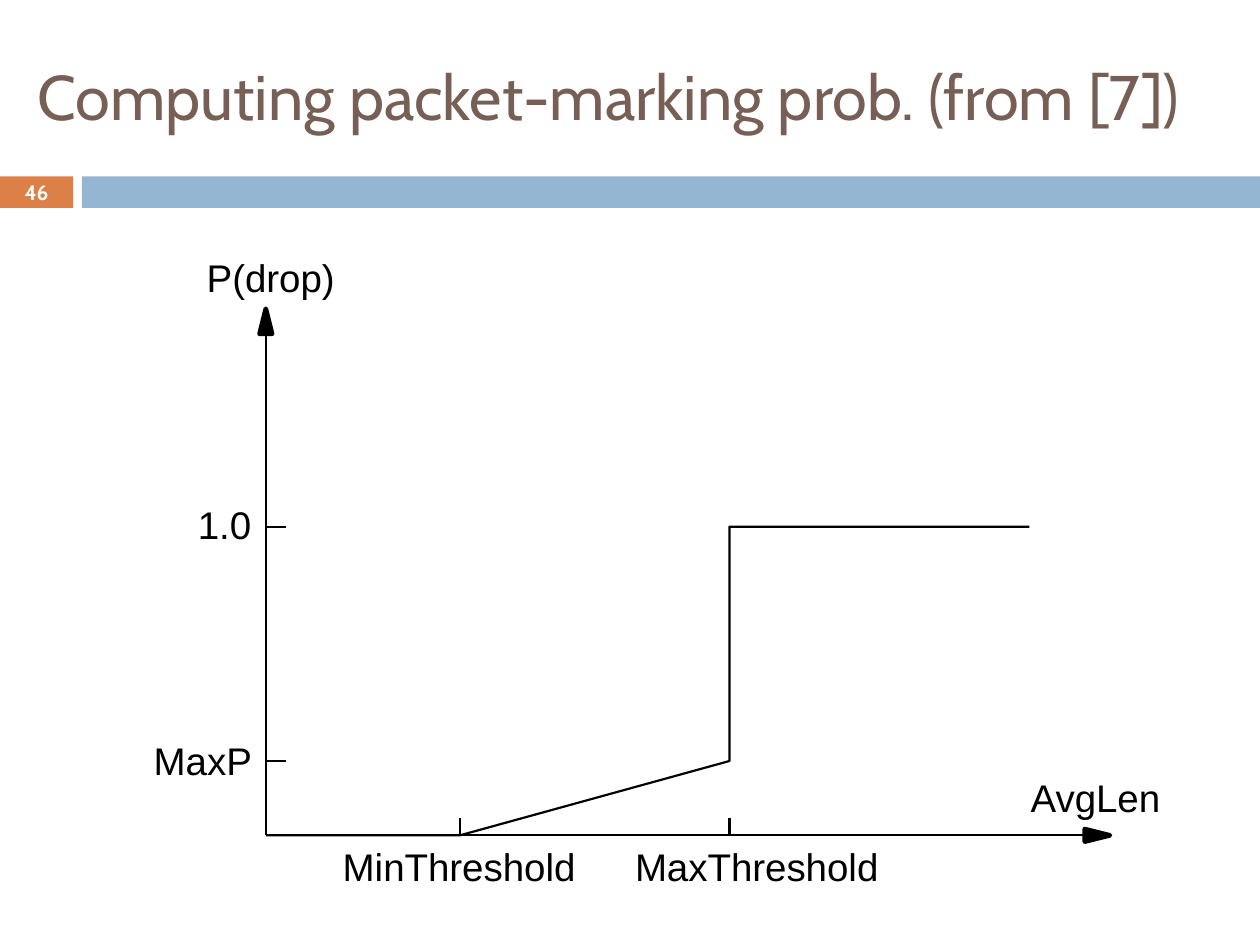
from dataclasses import dataclass

from pptx import Presentation
from pptx.dml.color import RGBColor
from pptx.enum.shapes import MSO_CONNECTOR as Connector, MSO_SHAPE as Shape
from pptx.enum.text import MSO_ANCHOR as Anchor, MSO_AUTO_SIZE as AutoSize, PP_ALIGN as Align
from pptx.oxml.ns import qn
from pptx.util import Inches, Pt


@dataclass(frozen=True)
class Theme:
    """Colours, fonts, type sizes and line widths."""
    title: str = "775F55"
    accent: str = "DD8047"
    band: str = "94B6D2"
    ink: str = "000000"
    paper: str = "FFFFFF"
    heading_font: str = "Cabin"
    label_font: str = "Arial"
    title_size: float = 36
    number_size: float = 12
    label_size: float = 22
    line_width: float = 1.25
    arrow_width: float = 2.63


class SlideBuilder:
    """Draws styled elements on the current slide."""

    def __init__(self, slide, theme):
        self.slide = slide
        self.shapes = slide.shapes
        self.theme = theme

    def style(self, paragraph, font, size, color, bold=False):
        """Format every run of a paragraph."""
        for run in paragraph.runs:
            run.font.name = font
            run.font.size = Pt(size)
            run.font.bold = bold
            run.font.color.rgb = RGBColor.from_string(color)

    def title(self, text, left, top, width, height):
        """Fill and place the title placeholder."""
        shape = self.shapes.title
        shape.left, shape.top = Inches(left), Inches(top)
        shape.width, shape.height = Inches(width), Inches(height)
        frame = shape.text_frame
        frame.text = text
        frame.vertical_anchor = Anchor.MIDDLE
        frame.auto_size = AutoSize.NONE
        frame.paragraphs[0].alignment = Align.LEFT
        self.style(frame.paragraphs[0], self.theme.heading_font,
                   self.theme.title_size, self.theme.title)

    def bar(self, left, top, width, height, color, text=""):
        """Add a plain rectangle, with centred text if given."""
        shape = self.shapes.add_shape(Shape.RECTANGLE, Inches(left), Inches(top),
                                      Inches(width), Inches(height))
        shape.shadow.inherit = False
        shape.fill.solid()
        shape.fill.fore_color.rgb = RGBColor.from_string(color)
        shape.line.fill.background()
        if text:
            frame = shape.text_frame
            frame.margin_top = frame.margin_bottom = 0
            frame.text = text
            frame.vertical_anchor = Anchor.MIDDLE
            frame.paragraphs[0].alignment = Align.CENTER
            self.style(frame.paragraphs[0], self.theme.heading_font,
                       self.theme.number_size, self.theme.paper, bold=True)

    def label(self, text, left, top, width, height=0.37):
        """Add a one-line label without margins."""
        box = self.shapes.add_textbox(Inches(left), Inches(top), Inches(width), Inches(height))
        frame = box.text_frame
        frame.margin_left = frame.margin_right = frame.margin_top = frame.margin_bottom = 0
        frame.word_wrap = False
        frame.auto_size = AutoSize.SHAPE_TO_FIT_TEXT
        frame.text = text
        self.style(frame.paragraphs[0], self.theme.label_font,
                   self.theme.label_size, self.theme.ink)

    def line(self, start, end):
        """Add a straight line between two points."""
        connector = self.shapes.add_connector(
            Connector.STRAIGHT, *(Inches(value) for value in (*start, *end)))
        connector.line.width = Pt(self.theme.line_width)
        connector.line.color.rgb = RGBColor.from_string(self.theme.ink)
        properties = connector._element.spPr
        properties.append(properties.makeelement(qn("a:effectLst"), {}))

    def outline(self, points, width, filled=False):
        """Add an open line through points, or a closed filled outline."""
        first, *rest = [(Inches(x), Inches(y)) for x, y in points]
        builder = self.shapes.build_freeform(*first)
        builder.add_line_segments(rest, close=filled)
        shape = builder.convert_to_shape()
        shape.shadow.inherit = False
        if filled:
            shape.fill.solid()
            shape.fill.fore_color.rgb = RGBColor.from_string(self.theme.ink)
        else:
            shape.fill.background()
        shape.line.width = Pt(width)
        shape.line.color.rgb = RGBColor.from_string(self.theme.ink)


def main():
    """Build the slide and save it."""
    presentation = Presentation()
    presentation.slide_width, presentation.slide_height = Inches(10), Inches(7.5)
    theme = Theme()
    builder = SlideBuilder(presentation.slides.add_slide(presentation.slide_layouts[5]), theme)

    builder.bar(0, 1.4, 0.58, 0.25, theme.accent, "46")
    builder.bar(0.65, 1.4, 9.35, 0.25, theme.band)
    builder.title("Computing packet-marking prob. (from [7])", 0.2, 0.42, 9.75, 0.67)

    origin_x, axis_y = 2.11, 6.63
    min_x, max_x, curve_end = 3.65, 5.79, 8.17
    one_y, max_p_y = 4.18, 6.04
    axis_top, axis_right = 2.45, 8.81
    head_length, head_half, tick_x, tick_y = 0.2, 0.05, 0.16, 0.14

    builder.outline([(origin_x, axis_y), (min_x, axis_y), (max_x, max_p_y),
                     (max_x, one_y), (curve_end, one_y)], theme.line_width)
    builder.line((origin_x, axis_y), (origin_x, axis_top + head_length))
    builder.line((origin_x, axis_y), (axis_right - head_length, axis_y))
    base_y, base_x = axis_top + head_length, axis_right - head_length
    builder.outline([(origin_x + head_half, base_y), (origin_x, axis_top),
                     (origin_x - head_half, base_y)], theme.arrow_width, filled=True)
    builder.outline([(base_x, axis_y + head_half), (axis_right, axis_y),
                     (base_x, axis_y - head_half)], theme.arrow_width, filled=True)

    for x in (min_x, max_x):
        builder.line((x, axis_y), (x, axis_y - tick_y))
    for y in (one_y, max_p_y):
        builder.line((origin_x, y), (origin_x + tick_x, y))

    for text, left, top, width in (
        ("P(drop)", 1.64, 2.02, 1.02),
        ("1.0", 1.57, 3.98, 0.43),
        ("MaxP", 1.22, 5.85, 0.78),
        ("MinThreshold", 2.72, 6.69, 1.85),
        ("MaxThreshold", 5.04, 6.69, 1.94),
        ("AvgLen", 8.18, 6.14, 1.03),
    ):
        builder.label(text, left, top, width)

    presentation.save("out.pptx")


if __name__ == "__main__":
    main()
